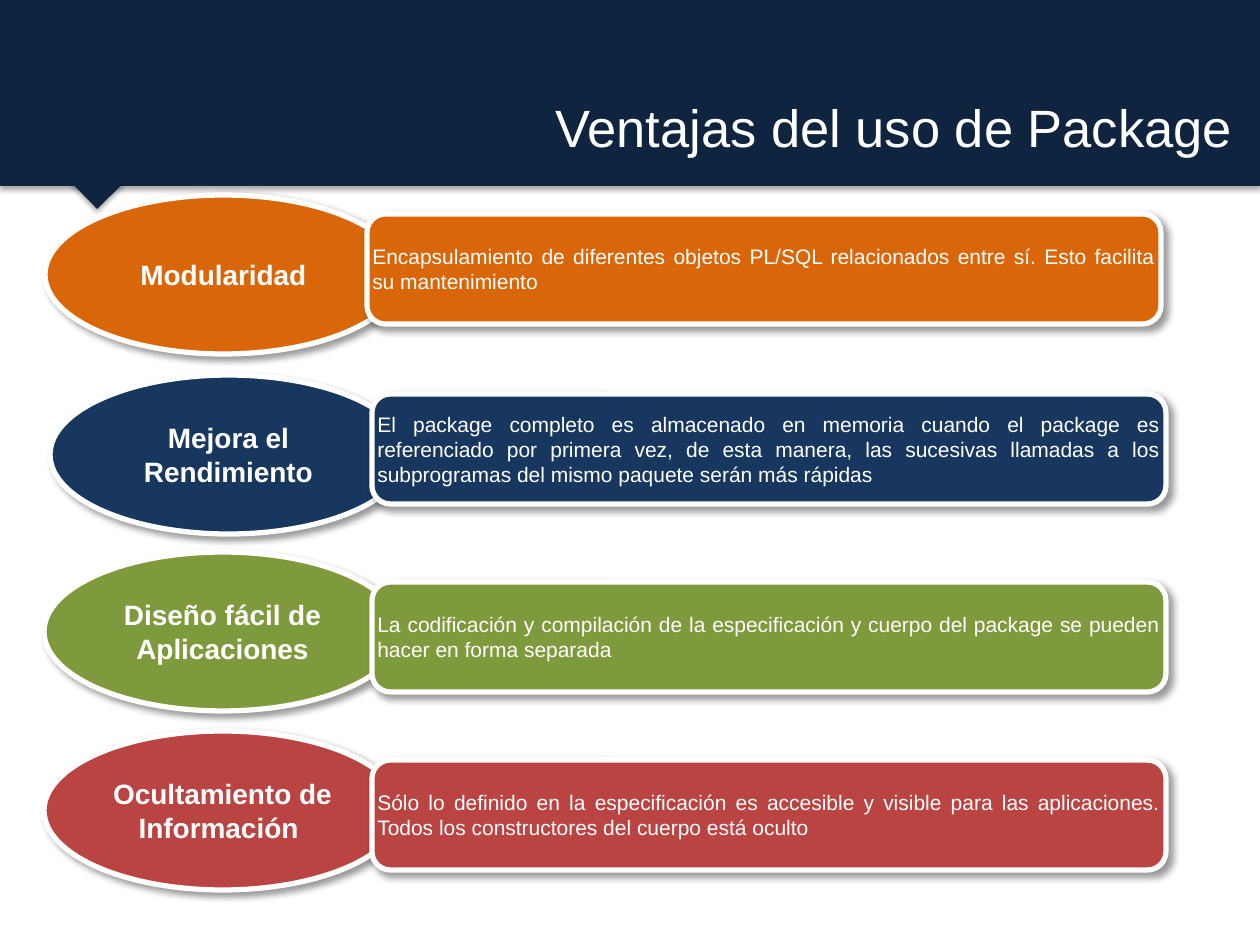
import pptx
import pptx.dml.color
import pptx.enum.shapes
import pptx.enum.text
import pptx.util
import lxml.etree
import pptx.oxml.ns

EMU_PER_PX = 914400 / 126
SHAPE = pptx.enum.shapes.MSO_SHAPE
ALIGN = pptx.enum.text.PP_ALIGN
NAVY, WHITE = "0F243E", "FFFFFF"

# Content: topic, explanation, colour, ellipse corner, bar corner
TITLE = "Ventajas del uso de Package"
ADVANTAGES = [
    ("Modularidad",
     "Encapsulamiento de diferentes objetos PL/SQL relacionados entre sí. "
     "Esto facilita su mantenimiento",
     "D96709", (45, 195), (367, 214)),
    ("Mejora el Rendimiento",
     "El package completo es almacenado en memoria cuando el package es "
     "referenciado por primera vez, de esta manera, las sucesivas llamadas "
     "a los subprogramas del mismo paquete serán más rápidas",
     "17375E", (50, 375), (372, 394)),
    ("Diseño fácil de Aplicaciones",
     "La codificación y compilación de la especificación y cuerpo del "
     "package se pueden hacer en forma separada",
     "7F9A3C", (44, 552), (372, 582)),
    ("Ocultamiento de Información ",
     "Sólo lo definido en la especificación es accesible y visible para las "
     "aplicaciones. Todos los constructores del cuerpo está oculto",
     "B94441", (44, 731), (372, 760)),
]
ELLIPSE_SIZE = (357, 159)
BAR_SIZE = (794, 110)

# Formats
TITLE_FONT = {"size": pptx.util.Pt(30)}
TOPIC_FONT = {"size": pptx.util.Pt(16), "bold": True}
DETAIL_FONT = {"size": pptx.util.Pt(12)}
NO_MARGINS = dict.fromkeys(
    ("margin_left", "margin_top", "margin_right", "margin_bottom"), 0)
# Shadows: opacity in percent, blur and distance in points, angle in degrees
HEADER_SHADOW = (35, 3.1, 1.8, 90)
CARD_SHADOW = (40, 4, 3, 45)


def px(*lengths):
    return [round(length * EMU_PER_PX) for length in lengths]


def color(value):
    return pptx.dml.color.RGBColor.from_string(value)


def set_values(target, values):
    for name, value in values.items():
        setattr(target, name, value)


def add_shadow(shape, opacity, blur, distance, angle):
    shape.shadow.inherit = False
    effects = shape._element.spPr.find(pptx.oxml.ns.qn("a:effectLst"))
    shadow = lxml.etree.SubElement(
        effects, pptx.oxml.ns.qn("a:outerShdw"),
        blurRad=str(int(pptx.util.Pt(blur))),
        dist=str(int(pptx.util.Pt(distance))),
        dir=str(angle * 60000), algn="ctr", rotWithShape="0")
    black = lxml.etree.SubElement(
        shadow, pptx.oxml.ns.qn("a:srgbClr"), val="000000")
    lxml.etree.SubElement(
        black, pptx.oxml.ns.qn("a:alpha"), val=str(opacity * 1000))


def add_block(slide, kind, box, fill, shadow, outlined=False):
    shape = slide.shapes.add_shape(kind, *px(*box))
    shape.fill.solid()
    shape.fill.fore_color.rgb = color(fill)
    if outlined:
        shape.line.color.rgb = color(WHITE)
        shape.line.width = pptx.util.Pt(3)
    else:
        shape.line.fill.background()
    add_shadow(shape, *shadow)
    return shape


def write(shape, text, alignment, font, margins=None):
    frame = shape.text_frame
    set_values(frame, {"word_wrap": True,
                       "vertical_anchor": pptx.enum.text.MSO_ANCHOR.MIDDLE,
                       **(margins or {})})
    paragraph = frame.paragraphs[0]
    paragraph.alignment = alignment
    run = paragraph.add_run()
    run.text = text
    set_values(run.font, {"name": "Arial", **font})
    run.font.color.rgb = color(WHITE)


def main():
    presentation = pptx.Presentation()
    presentation.slide_width, presentation.slide_height = px(1260, 945)
    slide = presentation.slides.add_slide(presentation.slide_layouts[6])

    # Header band with its pointer
    add_block(slide, SHAPE.RECTANGLE, (0, 0, 1260, 186), NAVY, HEADER_SHADOW)
    pointer = add_block(
        slide, SHAPE.RECTANGLE, (78, 164, 38, 37), NAVY, HEADER_SHADOW)
    pointer.rotation = 45.6
    title = slide.shapes.add_textbox(*px(64, 26, 1181, 202))
    write(title, TITLE, ALIGN.RIGHT, TITLE_FONT)

    # One ellipse and one bar per advantage
    for topic, detail, fill, ellipse_corner, bar_corner in ADVANTAGES:
        for kind, box, text, alignment, font in (
            (SHAPE.OVAL, ellipse_corner + ELLIPSE_SIZE,
             topic, ALIGN.CENTER, TOPIC_FONT),
            (SHAPE.ROUNDED_RECTANGLE, bar_corner + BAR_SIZE,
             detail, ALIGN.JUSTIFY, DETAIL_FONT),
        ):
            shape = add_block(slide, kind, box, fill, CARD_SHADOW, True)
            write(shape, text, alignment, font, NO_MARGINS)

    presentation.save("out.pptx")


if __name__ == "__main__":
    main()
